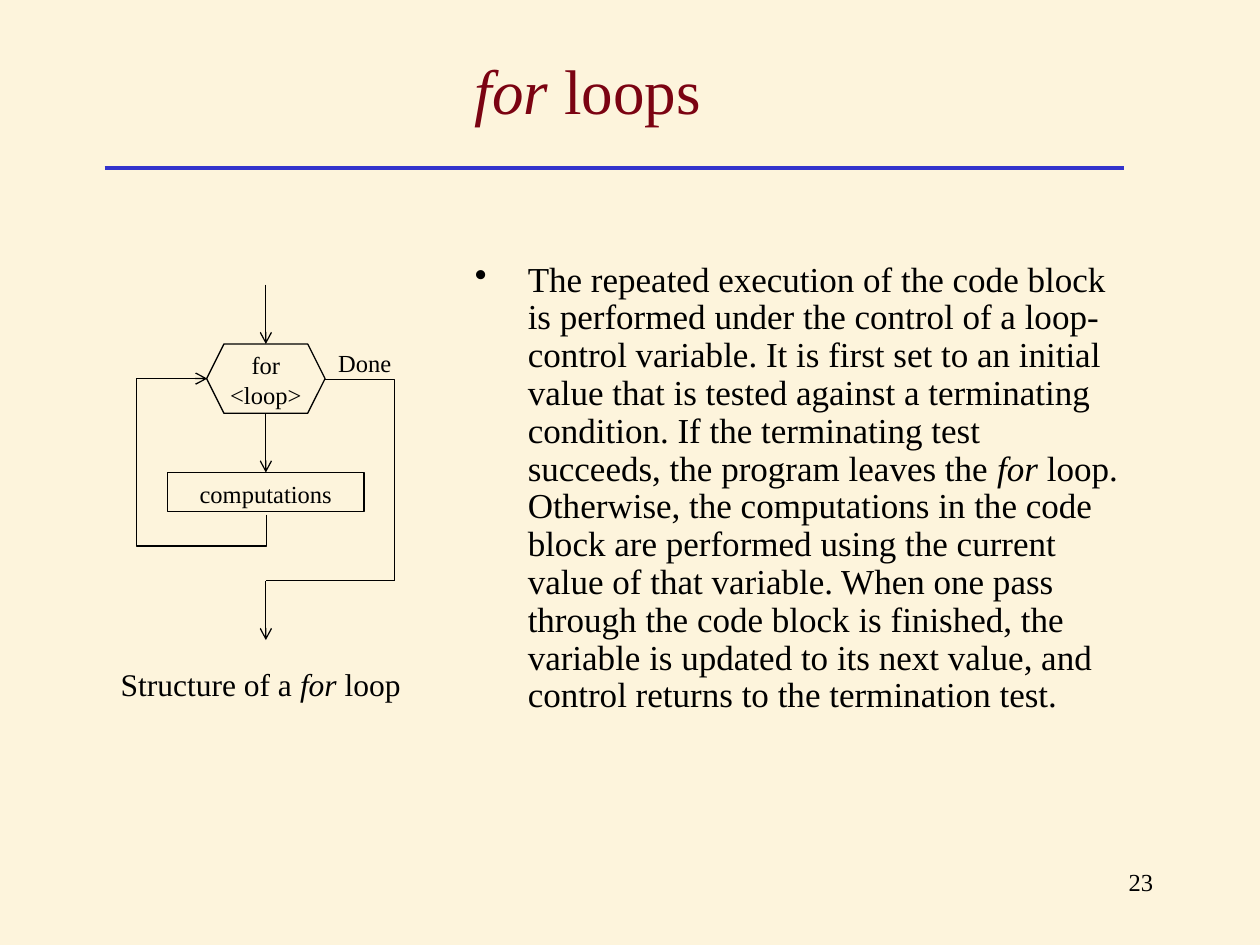
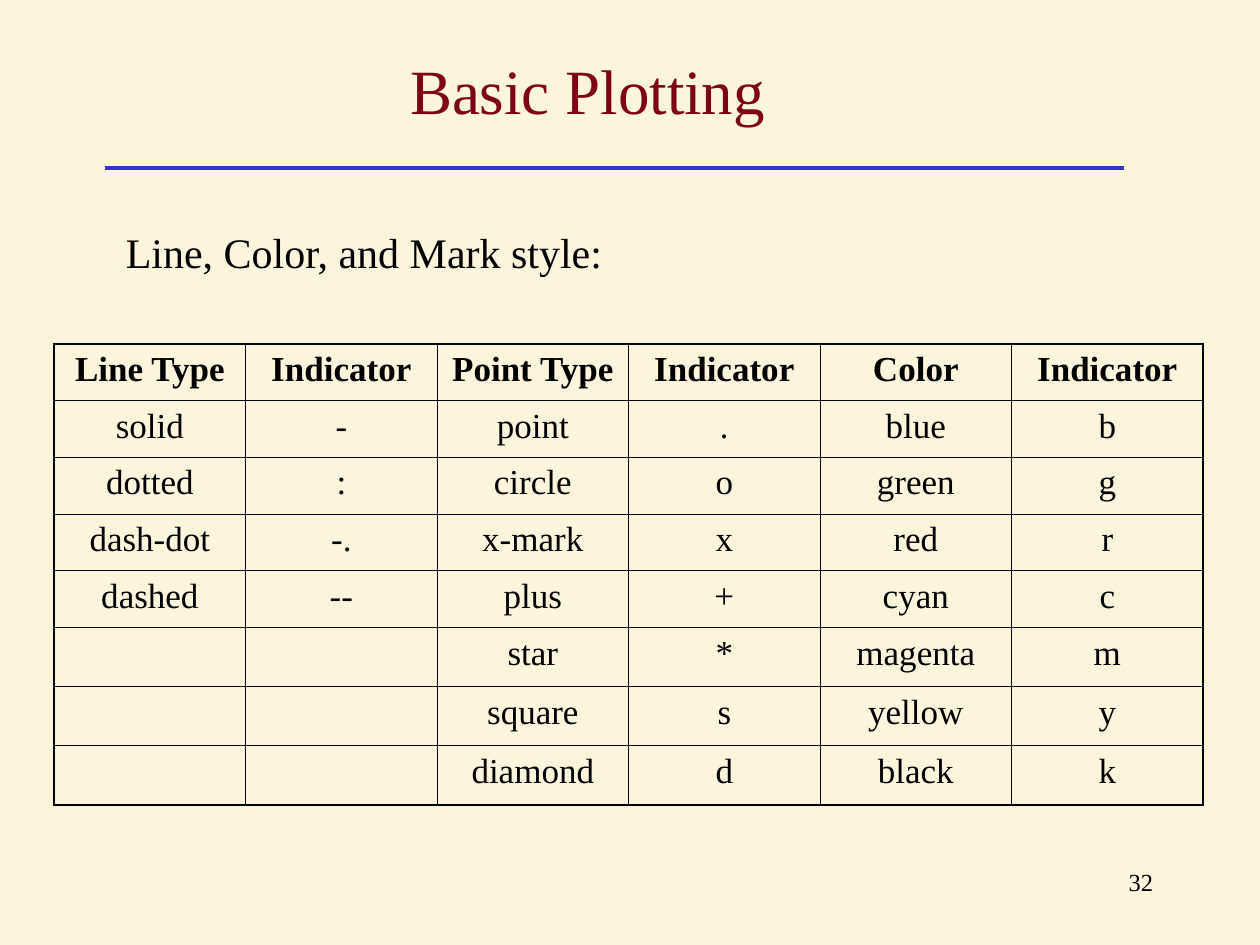
from pptx import Presentation
from pptx.dml.color import RGBColor
from pptx.enum.shapes import MSO_CONNECTOR, MSO_SHAPE
from pptx.enum.text import MSO_ANCHOR, PP_ALIGN
from pptx.oxml import parse_xml
from pptx.oxml.ns import nsdecls, qn
from pptx.util import Inches, Pt

COLORS = {"paper": "FDF4DC", "title": "7B0312", "rule": "3333CC", "ink": "000000"}
FONT = "Times New Roman"
FLOW_X = 2.11
LOOP_EXPLANATION = (
    "The repeated execution of the code block is performed under the control of a "
    "loop-control variable. It is first set to an initial value that is tested against "
    "a terminating condition. If the terminating test succeeds, the program leaves the "
    "_for_ loop. Otherwise, the computations in the code block are performed using the "
    "current value of that variable. When one pass through the code block is finished, "
    "the variable is updated to its next value, and control returns to the termination test."
)
STYLE_ROWS = [
    ("Line Type", "Indicator", "Point Type", "Indicator", "Color", "Indicator"),
    ("solid", "-", "point", ".", "blue", "b"),
    ("dotted", ":", "circle", "o", "green", "g"),
    ("dash-dot", "-.", "x-mark", "x", "red", "r"),
    ("dashed", "--", "plus", "+", "cyan", "c"),
    ("", "", "star", "*", "magenta", "m"),
    ("", "", "square", "s", "yellow", "y"),
    ("", "", "diamond", "d", "black", "k"),
]


def rgb(color):
    """Return the named colour."""
    return RGBColor.from_string(COLORS[color])


def apply_format(target, values):
    """Set every attribute of a format dict on the target."""
    for attribute, value in values.items():
        setattr(target, attribute, value)


def write(paragraph, text, size, color="ink", bold=False, **layout):
    """Fill a paragraph, with parts between underscores in italics."""
    apply_format(paragraph, layout)
    for index, part in enumerate(text.split("_")):
        if part:
            run = paragraph.add_run()
            run.text = part
            apply_format(run.font, {"name": FONT, "size": Pt(size), "bold": bold,
                                    "italic": index % 2 == 1})
            run.font.color.rgb = rgb(color)


def add_text(slide, box, text, size, color="ink", anchor=MSO_ANCHOR.TOP, wrap=True, **layout):
    """Add a text box with one paragraph and return the paragraph."""
    frame = slide.shapes.add_textbox(*map(Inches, box)).text_frame
    apply_format(frame, {"word_wrap": wrap, "vertical_anchor": anchor})
    write(frame.paragraphs[0], text, size, color, **layout)
    return frame.paragraphs[0]


def add_bullet(paragraph, indent):
    """Give a paragraph a round bullet with a hanging indent."""
    properties = paragraph._p.get_or_add_pPr()
    properties.set("marL", str(Inches(indent)))
    properties.set("indent", str(-Inches(indent)))
    properties.append(parse_xml(
        f'<a:buClr {nsdecls("a")}><a:srgbClr val="{COLORS["ink"]}"/></a:buClr>'))
    properties.append(parse_xml(f'<a:buChar {nsdecls("a")} char="•"/>'))


def add_line(slide, start, end, color="ink", width=0.75, arrow=False, kind=MSO_CONNECTOR.STRAIGHT):
    """Add a connector, with an open arrowhead if wanted."""
    line = slide.shapes.add_connector(kind, *map(Inches, (*start, *end)))
    line.line.color.rgb = rgb(color)
    line.line.width = Pt(width)
    properties = line.element.spPr
    if arrow:
        properties.find(qn("a:ln")).append(
            parse_xml(f'<a:tailEnd {nsdecls("a")} type="arrow"/>'))
    properties.append(parse_xml(f'<a:effectLst {nsdecls("a")}/>'))
    return line


def add_bent_line(slide, box, preset, adjustments=(), turn=None, arrow=False):
    """Add an elbow connector in its unturned box, then bend and turn it."""
    left, top, width, height = box
    line = add_line(slide, (left, top), (left + width, top + height), arrow=arrow,
                    kind=MSO_CONNECTOR.ELBOW)
    geometry = line.element.spPr.find(qn("a:prstGeom"))
    geometry.set("prst", preset)
    guides = geometry.get_or_add_avLst()
    for number, value in enumerate(adjustments, 1):
        guides.append(parse_xml(
            f'<a:gd {nsdecls("a")} name="adj{number}" fmla="val {round(value * 100000)}"/>'))
    for attribute, value in (turn or {}).items():
        line.element.spPr.find(qn("a:xfrm")).set(attribute, value)


def add_outline(slide, preset, box):
    """Add an unfilled flowchart shape."""
    outline = slide.shapes.add_shape(preset, *map(Inches, box))
    outline.shadow.inherit = False
    outline.fill.background()
    outline.line.color.rgb = rgb("ink")
    outline.line.width = Pt(0.75)
    return outline


def add_borders(cell, widths):
    """Draw the left, right, top and bottom borders of a cell."""
    properties = cell._tc.get_or_add_tcPr()
    for index, (side, width) in enumerate(zip("LRTB", widths)):
        properties.insert(index, parse_xml(
            f'<a:ln{side} {nsdecls("a")} w="{Pt(width)}"><a:solidFill>'
            f'<a:srgbClr val="{COLORS["ink"]}"/></a:solidFill></a:ln{side}>'))


def add_style_table(slide, rows, left, top, column_width, row_heights):
    """Add a ruled table with a heavier outer border."""
    column_count = len(rows[0])
    table = slide.shapes.add_table(
        len(rows), column_count, Inches(left), Inches(top),
        Inches(column_width * column_count), Inches(sum(row_heights))).table
    apply_format(table, {"first_row": False, "horz_banding": False})
    for column in table.columns:
        column.width = Inches(column_width)
    for r, (values, height) in enumerate(zip(rows, row_heights)):
        table.rows[r].height = Inches(height)
        for c, value in enumerate(values):
            cell = table.cell(r, c)
            cell.fill.background()
            outer = (c == 0, c == column_count - 1, r == 0, r == len(rows) - 1)
            add_borders(cell, [1.08 if edge else 0.45 for edge in outer])
            write(cell.text_frame.paragraphs[0], value, 20, bold=r == 0,
                  alignment=PP_ALIGN.CENTER)


def add_base_slide(deck, title, number):
    """Add a slide with background, title, rule and page number."""
    slide = deck.slides.add_slide(deck.slide_layouts[6])
    slide.background.fill.solid()
    slide.background.fill.fore_color.rgb = rgb("paper")
    add_line(slide, (0.83, 1.33), (8.92, 1.33), "rule", 2.25)
    add_text(slide, (7.17, 6.83, 2.08, 0.5), str(number), 14, alignment=PP_ALIGN.RIGHT)
    add_text(slide, (0.58, 0.17, 8.17, 1.08), title, 36, "title", MSO_ANCHOR.MIDDLE,
             alignment=PP_ALIGN.CENTER)
    return slide


def add_loop_flowchart(slide):
    """Draw the flowchart of a for loop with its caption."""
    centered = {"alignment": PP_ALIGN.CENTER}
    add_line(slide, (FLOW_X, 2.26), (FLOW_X, 2.73), arrow=True)
    loop_test = add_outline(slide, MSO_SHAPE.HEXAGON, (1.64, 2.73, 0.94, 0.55))
    loop_test.adjustments[0] = 0.25
    add_text(slide, (1.72, 2.73, 0.78, 0.57), "for <loop>", 14, **centered)
    computations = add_outline(slide, MSO_SHAPE.RECTANGLE, (1.33, 3.75, 1.56, 0.31))
    add_text(slide, (1.33, 3.75, 1.56, 0.34), "computations", 14, **centered)
    enter_block = add_line(slide, (FLOW_X, 3.28), (FLOW_X, 3.75), arrow=True)
    enter_block.end_connect(computations, 0)
    add_bent_line(slide, (1.34, 3.31, 1.08, 0.47), "bentConnector4", (-0.23, 2.2),
                  {"rot": "16200000", "flipV": "1"}, arrow=True)
    add_bent_line(slide, (2.58, 3.01, 0.55, 1.6), "bentConnector2")
    add_line(slide, (3.13, 4.61), (FLOW_X, 4.61))
    add_line(slide, (FLOW_X, 4.61), (FLOW_X, 5.08), arrow=True)
    add_text(slide, (2.58, 2.71, 0.63, 0.34), "Done", 14, wrap=False, **centered)
    add_text(slide, (0.86, 5.23, 2.66, 0.4), "Structure of a _for_ loop", 18)


def main():
    """Build both slides and save the deck."""
    deck = Presentation()
    apply_format(deck, {"slide_width": Inches(10), "slide_height": Inches(7.5)})

    loops = add_base_slide(deck, "_for_ loops", 23)
    explanation = add_text(loops, (3.67, 2.03, 5.31, 4.06), LOOP_EXPLANATION, 20,
                           line_spacing=0.9)
    add_bullet(explanation, 0.42)
    add_loop_flowchart(loops)

    plotting = add_base_slide(deck, "Basic Plotting", 32)
    add_text(plotting, (0.9, 1.79, 4.57, 0.57), "Line, Color, and Mark style:", 24,
             line_spacing=0.9)
    row_heights = [0.45 if row[0] else 0.47 for row in STYLE_ROWS]
    add_style_table(plotting, STYLE_ROWS, 0.43, 2.73, 1.52, row_heights)

    deck.save("out.pptx")


if __name__ == "__main__":
    main()
